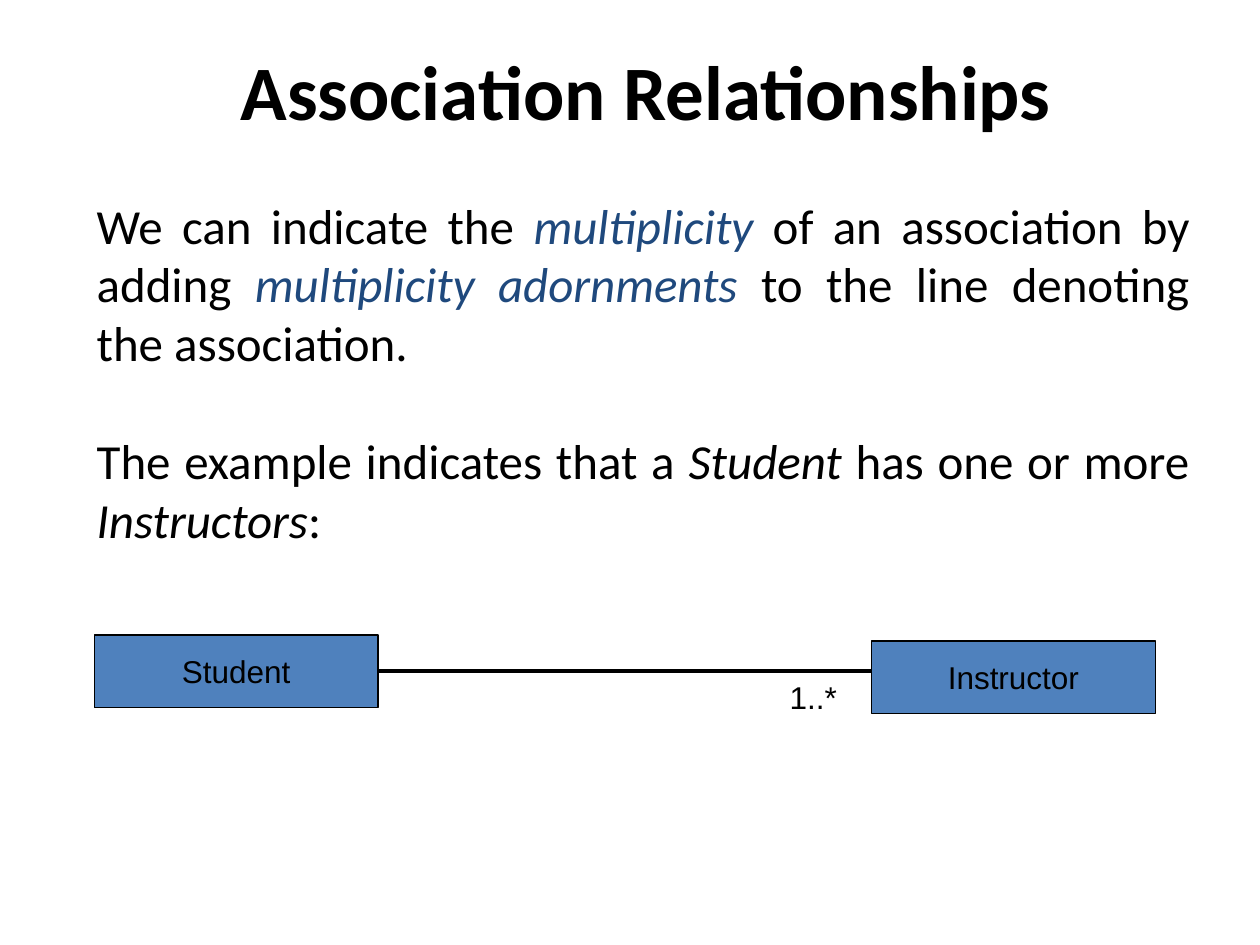
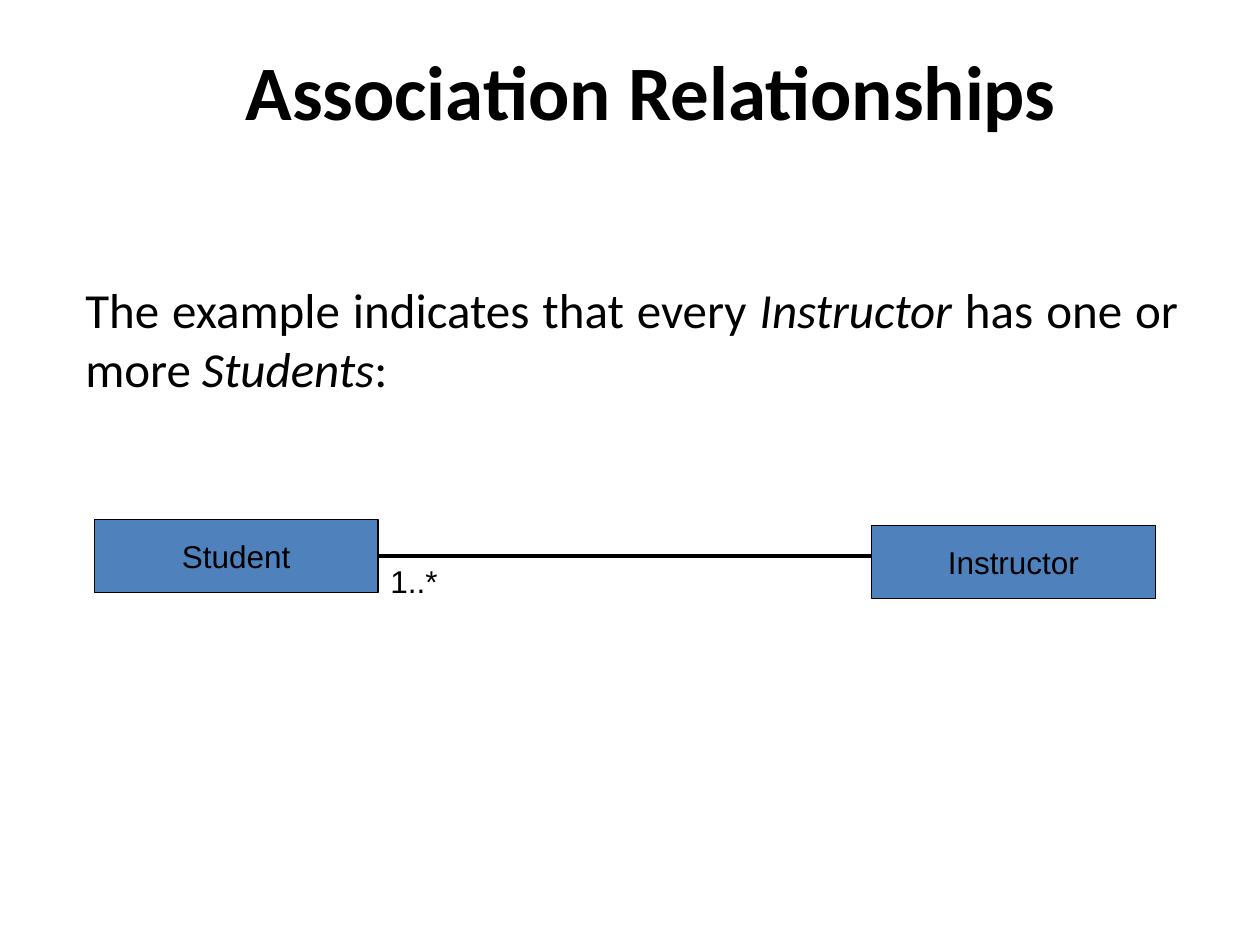
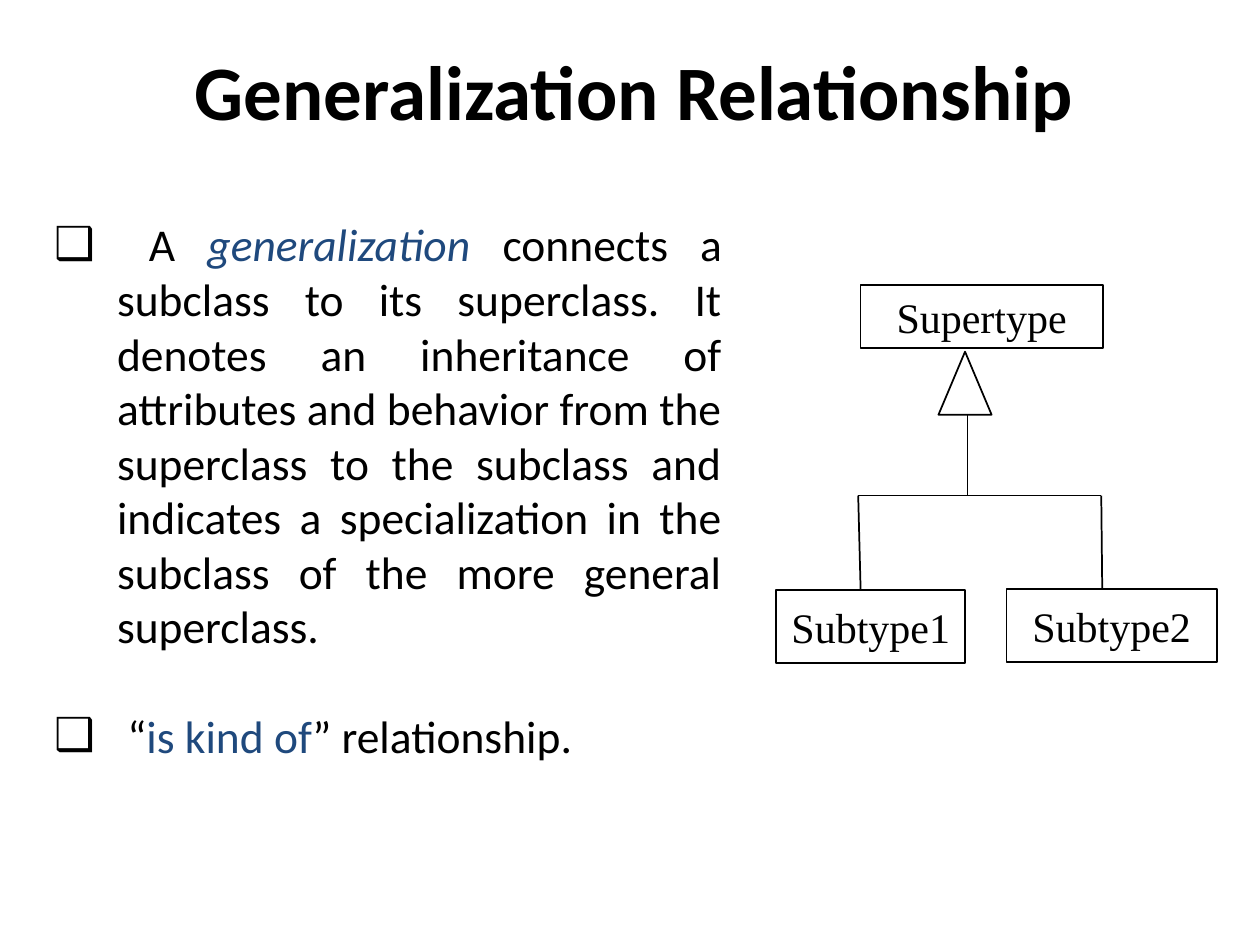
from dataclasses import dataclass

from lxml import etree
from pptx import Presentation
from pptx.dml.color import RGBColor
from pptx.enum.shapes import MSO_CONNECTOR, MSO_SHAPE
from pptx.enum.text import MSO_ANCHOR, PP_ALIGN
from pptx.oxml.ns import qn
from pptx.util import Cm, Pt

RECT = MSO_SHAPE.RECTANGLE
PEAK = MSO_SHAPE.ISOSCELES_TRIANGLE
STRAIGHT = MSO_CONNECTOR.STRAIGHT
TOP, MIDDLE = MSO_ANCHOR.TOP, MSO_ANCHOR.MIDDLE
LEFT, CENTER, FULL = PP_ALIGN.LEFT, PP_ALIGN.CENTER, PP_ALIGN.JUSTIFY
RIGHT_SIDE = 3


@dataclass(frozen=True)
class Theme:
    """Colours, fonts and sizes shared by the slides."""
    ink: str = "000000"
    key: str = "1F497D"
    fill: str = "4F81BD"
    main: str = "Calibri"
    node: str = "Arial"
    tree: str = "Times New Roman"
    head_size: int = 44
    body_size: int = 28
    list_size: int = 26
    node_size: int = 18
    tree_size: int = 24
    node_line: float = 0.75
    link_line: float = 2.25
    tree_line: float = 1
    gap: float = 1.2
    indent: float = 1.27
    bullet: str = "❑"


THEME = Theme()
STYLES = {
    "plain": (THEME.ink, False),
    "slant": (THEME.ink, True),
    "term": (THEME.key, True),
    "blue": (THEME.key, False),
}


def add_run(para, text, font, size, style="plain", bold=False):
    """Add one styled run to a paragraph."""
    run = para.add_run()
    run.text = text
    hue, slant = STYLES[style]
    run.font.name = font
    run.font.size = Pt(size)
    run.font.color.rgb = RGBColor.from_string(hue)
    run.font.italic = slant
    run.font.bold = bold


def add_label(slide, box, text, font, size, align=LEFT, anchor=TOP, bold=False):
    """Add a text box with a single run."""
    frame = slide.shapes.add_textbox(*map(Cm, box)).text_frame
    frame.word_wrap = True
    frame.vertical_anchor = anchor
    para = frame.paragraphs[0]
    para.alignment = align
    add_run(para, text, font, size, bold=bold)


def add_title(slide, box, text):
    """Add the bold slide title."""
    add_label(slide, box, text, THEME.main, THEME.head_size, CENTER, MIDDLE, True)


def add_bullet(para):
    """Give a paragraph a hanging box bullet."""
    props = para._p.get_or_add_pPr()
    indent = Cm(THEME.indent)
    props.set("marL", str(indent))
    props.set("indent", str(-indent))
    shade = etree.SubElement(props, qn("a:buClr"))
    etree.SubElement(shade, qn("a:srgbClr")).set("val", THEME.ink)
    etree.SubElement(props, qn("a:buFont")).set("typeface", THEME.node)
    etree.SubElement(props, qn("a:buChar")).set("char", THEME.bullet)


def add_body(slide, box, paras, size=THEME.body_size, bullets=False):
    """Add justified paragraphs, one line apart."""
    frame = slide.shapes.add_textbox(*map(Cm, box)).text_frame
    frame.word_wrap = True
    for index, runs in enumerate(paras):
        para = frame.add_paragraph() if index else frame.paragraphs[0]
        para.alignment = FULL
        if bullets:
            add_bullet(para)
        if index:
            para.space_before = Pt(size * THEME.gap)
        for text, style in runs:
            add_run(para, text, THEME.main, size, style)


def add_node(slide, box, text, font, size, width, fill=None, kind=RECT):
    """Add an outlined shape with an optional centred name."""
    node = slide.shapes.add_shape(kind, *map(Cm, box))
    node.shadow.inherit = False
    if fill:
        node.fill.solid()
        node.fill.fore_color.rgb = RGBColor.from_string(fill)
    else:
        node.fill.background()
    node.line.color.rgb = RGBColor.from_string(THEME.ink)
    node.line.width = Pt(width)
    if text:
        frame = node.text_frame
        frame.vertical_anchor = MIDDLE
        frame.paragraphs[0].alignment = CENTER
        add_run(frame.paragraphs[0], text, font, size)
    return node


def add_line(slide, start, end, width):
    """Add a straight line without a shadow."""
    line = slide.shapes.add_connector(STRAIGHT, *map(Cm, (*start, *end)))
    line.line.color.rgb = RGBColor.from_string(THEME.ink)
    line.line.width = Pt(width)
    etree.SubElement(line._element.spPr, qn("a:effectLst"))
    return line


def add_link(slide, left, top, at_end):
    """Draw Student joined to Instructor, with 1..* at one end."""
    wide, high, mark, far = 5.72, 1.47, 1.9, 15.67
    look = (THEME.node, THEME.node_size, THEME.node_line, THEME.fill)
    mid = top + high / 2
    pupil = add_node(slide, (left, top, wide, high), "Student", *look)
    line = add_line(slide, (left + wide, mid), (left + far + 0.2, mid), THEME.link_line)
    line.begin_connect(pupil, RIGHT_SIDE)
    add_node(slide, (left + far, top + 0.12, wide, high), "Instructor", *look)
    spot = left + (far - mark if at_end else wide)
    add_label(slide, (spot, mid, mark, 1.27), "1..*", THEME.node, THEME.node_size)


def add_tree(slide, left, top):
    """Draw a supertype above its two subtypes."""
    look = (THEME.tree, THEME.tree_size, THEME.tree_line)
    nodes = [
        ("Supertype", RECT, (1.73, 0.03, 4.88, 1.27)),
        ("", PEAK, (3.3, 1.37, 1.07, 1.27)),
        ("Subtype1", RECT, (0.03, 6.17, 3.81, 1.47)),
        ("Subtype2", RECT, (4.67, 6.15, 4.24, 1.47)),
    ]
    for text, kind, (x, y, wide, high) in nodes:
        add_node(slide, (left + x, top + y, wide, high), text, *look, kind=kind)
    bar, foot = 4.27, 6.17
    lines = [
        ((1.68, bar), (6.58, bar), THEME.tree_line),
        ((1.68, bar), (1.73, foot), THEME.tree_line),
        ((6.58, bar), (6.6, foot), THEME.tree_line),
        ((3.89, bar), (3.89, 2.62), THEME.node_line),
    ]
    for (x, y), (end_x, end_y), width in lines:
        add_line(slide, (left + x, top + y), (left + end_x, top + end_y), width)


def add_link_slide(slide, title_wide, body_box, paras, link_top, at_end):
    """Build a slide about an association."""
    add_title(slide, (1.7, 1.07, title_wide, 1.47), "Association Relationships")
    add_body(slide, body_box, paras)
    add_link(slide, 1.9, link_top, at_end)


def add_tree_slide(slide, paras):
    """Build the slide about generalization."""
    add_title(slide, (1.9, 1.07, 21.79, 1.47), "Generalization Relationship")
    add_body(slide, (0.84, 4.24, 13.97, 12.47), paras, THEME.list_size, True)
    add_tree(slide, 15.62, 5.72)


MANY_TEACH = [
    [
        ("We can indicate the ", "plain"),
        ("multiplicity", "term"),
        (" of an association by adding ", "plain"),
        ("multiplicity adornments", "term"),
        (" to the line denoting the association.", "plain"),
    ],
    [
        ("The example indicates that a ", "plain"),
        ("Student", "slant"),
        (" has one or more ", "plain"),
        ("Instructors", "slant"),
        (":", "plain"),
    ],
]
MANY_LEARN = [
    [
        ("The example indicates that every ", "plain"),
        ("Instructor", "slant"),
        (" has one or more ", "plain"),
        ("Students", "slant"),
        (":", "plain"),
    ],
]
KINDS = [
    [
        (" A ", "plain"),
        ("generalization", "term"),
        (" connects a subclass to its superclass. It denotes an inheritance of "
         "attributes and behavior from the superclass to the subclass and "
         "indicates a specialization in the subclass of the more general "
         "superclass.", "plain"),
    ],
    [
        (" “", "plain"),
        ("is kind of", "blue"),
        ("” relationship.", "plain"),
    ],
]


def main():
    """Build and save the three slides."""
    deck = Presentation()
    deck.slide_width, deck.slide_height = Cm(25.4), Cm(19.05)
    blank = deck.slide_layouts[6]
    first, second, third = (deck.slides.add_slide(blank) for _ in range(3))
    add_link_slide(first, 22.66, (1.7, 3.81, 22.53, 7.44), MANY_TEACH, 12.8, True)
    add_link_slide(second, 22.86, (1.47, 5.51, 22.53, 2.64), MANY_LEARN, 10.47, False)
    add_tree_slide(third, KINDS)
    deck.save("out.pptx")


if __name__ == "__main__":
    main()
